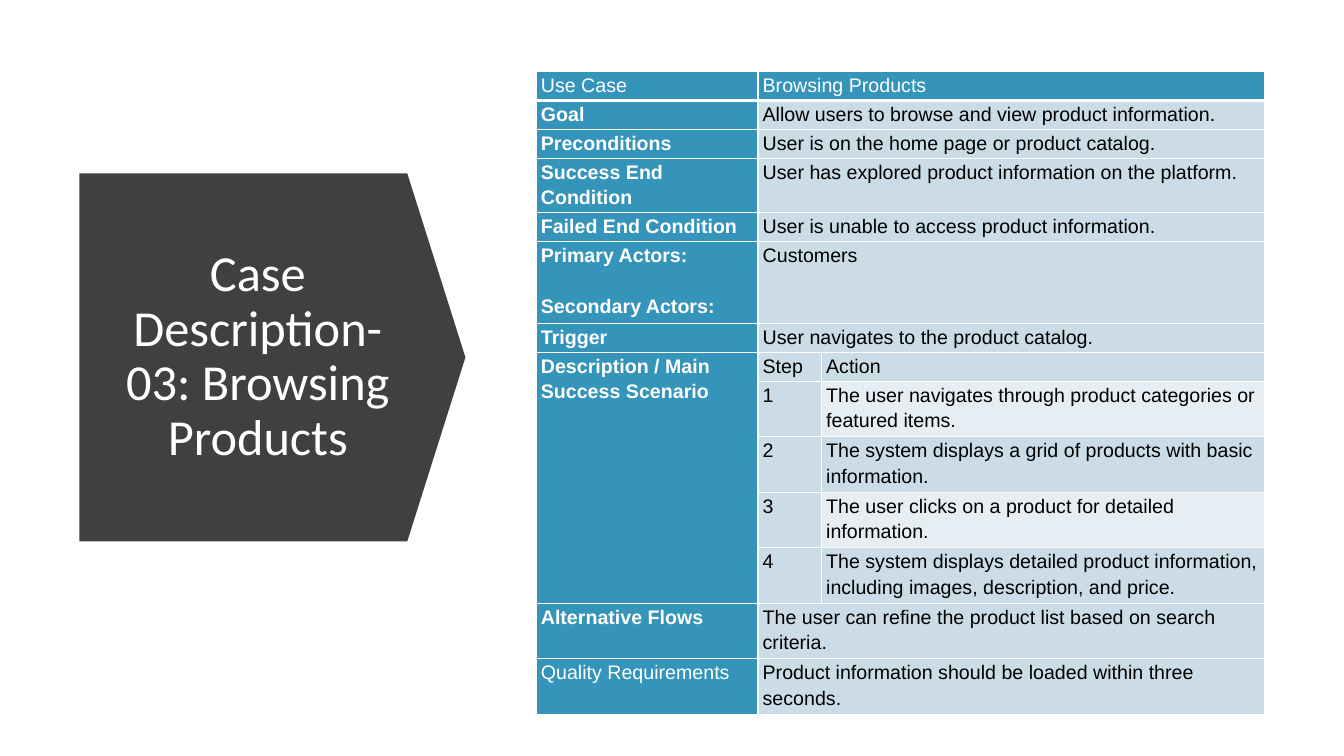
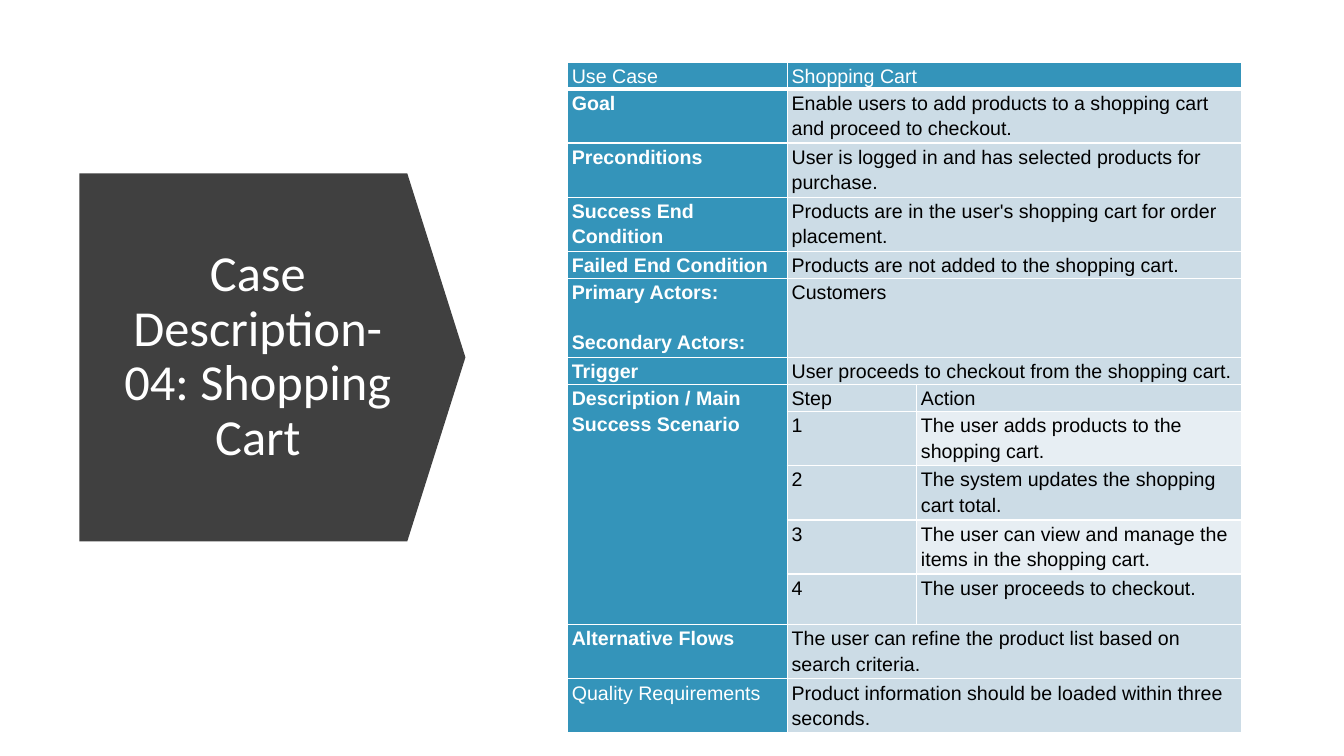
from lxml.etree import SubElement
from pptx import Presentation
from pptx.dml.color import RGBColor
from pptx.enum.shapes import MSO_SHAPE
from pptx.enum.text import MSO_ANCHOR, PP_ALIGN
from pptx.oxml.ns import qn
from pptx.util import Cm, Pt

# Shared look
WHITE, BLACK, DARK = "FFFFFF", "000000", "404040"
BLUE, PALE, LIGHT = "3494BA", "CCDCE6", "E7EEF3"
TITLE = {"size": Pt(36), "name": "Calibri", "bold": False}
BODY = {"size": Pt(14), "name": "Arial"}

# Labels of the first column; the steps fill five rows
LABELS = ["Use Case", "Goal", "Preconditions", "Success End Condition",
          "Failed End Condition", "Primary Actors:\nSecondary Actors:",
          "Trigger", "Description / Main Success Scenario",
          "Alternative Flows", "Quality Requirements"]
PLAIN = ("Use Case", "Quality Requirements")
STEPS = 7
CLOSING = ["The user can refine the product list based on search criteria.",
           "Product information should be loaded within three seconds."]

# Lengths in cm; "lines" gives the number of text lines each row has room for
CASES = [
    {"title": "Case Description-03: Browsing Products",
     "left": 13.51, "top": 1.8, "cols": (5.59, 1.6, 11.18), "inset": 0.12,
     "lines": "11111311222222", "heights": {"1": 0.73, "2": 1.4, "3": 2.06},
     "facts": ["Browsing Products",
               "Allow users to browse and view product information.",
               "User is on the home page or product catalog.",
               "User has explored product information on the platform.",
               "User is unable to access product information.",
               "Customers",
               "User navigates to the product catalog."],
     "steps": ["The user navigates through product categories or featured items.",
               "The system displays a grid of products with basic information.",
               "The user clicks on a product for detailed information.",
               "The system displays detailed product information, "
               "including images, description, and price."]},
    {"title": "Case Description-04: Shopping Cart",
     "left": 14.3, "top": 1.56, "cols": (5.54, 3.26, 8.18), "inset": 0.11,
     "lines": "12221311222222", "heights": {"1": 0.65, "2": 1.28, "3": 1.92},
     "facts": ["Shopping Cart",
               "Enable users to add products to a shopping cart and proceed to checkout.",
               "User is logged in and has selected products for purchase.",
               "Products are in the user's shopping cart for order placement.",
               "Products are not added to the shopping cart.",
               "Customers",
               "User proceeds to checkout from the shopping cart."],
     "steps": ["The user adds products to the shopping cart.",
               "The system updates the shopping cart total.",
               "The user can view and manage the items in the shopping cart.",
               "The user proceeds to checkout."]},
]


def paint(part, color):
    part.solid()
    part.fore_color.rgb = RGBColor.from_string(color)


def style(font, look, color):
    for key, value in look.items():
        setattr(font, key, value)
    font.color.rgb = RGBColor.from_string(color)


def edge(cell, widths):
    props = cell._tc.get_or_add_tcPr()
    for side, width in zip("LRTB", widths):
        line = SubElement(props, qn(f"a:ln{side}"), w=str(Pt(width)))
        fill = SubElement(line, qn("a:solidFill"))
        SubElement(fill, qn("a:srgbClr"), val=WHITE)


def add_title(slide, text):
    # Arrow panel, turned to point right
    panel = slide.shapes.add_shape(
        MSO_SHAPE.DOWN_ARROW, Cm(2.23), Cm(4.14), Cm(9.27), Cm(9.73))
    panel.rotation = 270
    panel.adjustments[0], panel.adjustments[1] = 1, 0.158
    panel.shadow.inherit = False
    paint(panel.fill, DARK)
    panel.line.fill.background()
    # Title text
    box = slide.shapes.add_textbox(Cm(2.84), Cm(5.46), Cm(7.32), Cm(7.09))
    frame = box.text_frame
    frame.word_wrap = True
    frame.vertical_anchor = MSO_ANCHOR.MIDDLE
    para = frame.paragraphs[0]
    para.text, para.alignment, para.line_spacing = text, PP_ALIGN.CENTER, 0.9
    style(para.runs[0].font, TITLE, WHITE)


def get_rows(case):
    facts = list(zip(LABELS, case["facts"]))
    rows = [(label, fact, "") for label, fact in facts]
    rows.append((LABELS[STEPS], "Step", "Action"))
    rows += [("", str(n), step) for n, step in enumerate(case["steps"], 1)]
    rows += [(label, text, "") for label, text in zip(LABELS[STEPS + 1:], CLOSING)]
    return rows


def fill_cell(cell, text, row, col, inset):
    head = row == 0 or col == 0
    cell.margin_left = cell.margin_right = Cm(inset)
    cell.margin_top = cell.margin_bottom = 0
    edge(cell, (1, 1, 3 if row == 1 else 1, 3 if row == 0 else 1))
    striped = col == 2 and STEPS < row < STEPS + 5 and (row - STEPS) % 2
    paint(cell.fill, BLUE if head else LIGHT if striped else PALE)
    cell.text = text
    for n, para in enumerate(cell.text_frame.paragraphs):
        para.line_spacing = 1.15
        para.space_before = Pt(18 if n else 0)
        look = {**BODY, "bold": col == 0 and text not in PLAIN}
        style(para.font, look, WHITE if head else BLACK)
        for run in para.runs:
            style(run.font, look, WHITE if head else BLACK)


def add_case(slide, case):
    rows = get_rows(case)
    highs = [case["heights"][n] for n in case["lines"]]
    table = slide.shapes.add_table(
        len(rows), 3, Cm(case["left"]), Cm(case["top"]),
        Cm(sum(case["cols"])), Cm(sum(highs))).table
    table.first_row = table.horz_banding = False
    for col, width in zip(table.columns, case["cols"]):
        col.width = Cm(width)
    for r, (texts, high) in enumerate(zip(rows, highs)):
        table.rows[r].height = Cm(high)
        for c, text in enumerate(texts):
            fill_cell(table.cell(r, c), text, r, c, case["inset"])
        if not texts[2]:
            table.cell(r, 1).merge(table.cell(r, 2))
    table.cell(STEPS, 0).merge(table.cell(STEPS + len(case["steps"]), 0))


def main():
    deck = Presentation()
    deck.slide_width, deck.slide_height = Cm(33.87), Cm(19.05)
    for case in CASES:
        slide = deck.slides.add_slide(deck.slide_layouts[6])
        add_title(slide, case["title"])
        add_case(slide, case)
    deck.save("out.pptx")


if __name__ == "__main__":
    main()
